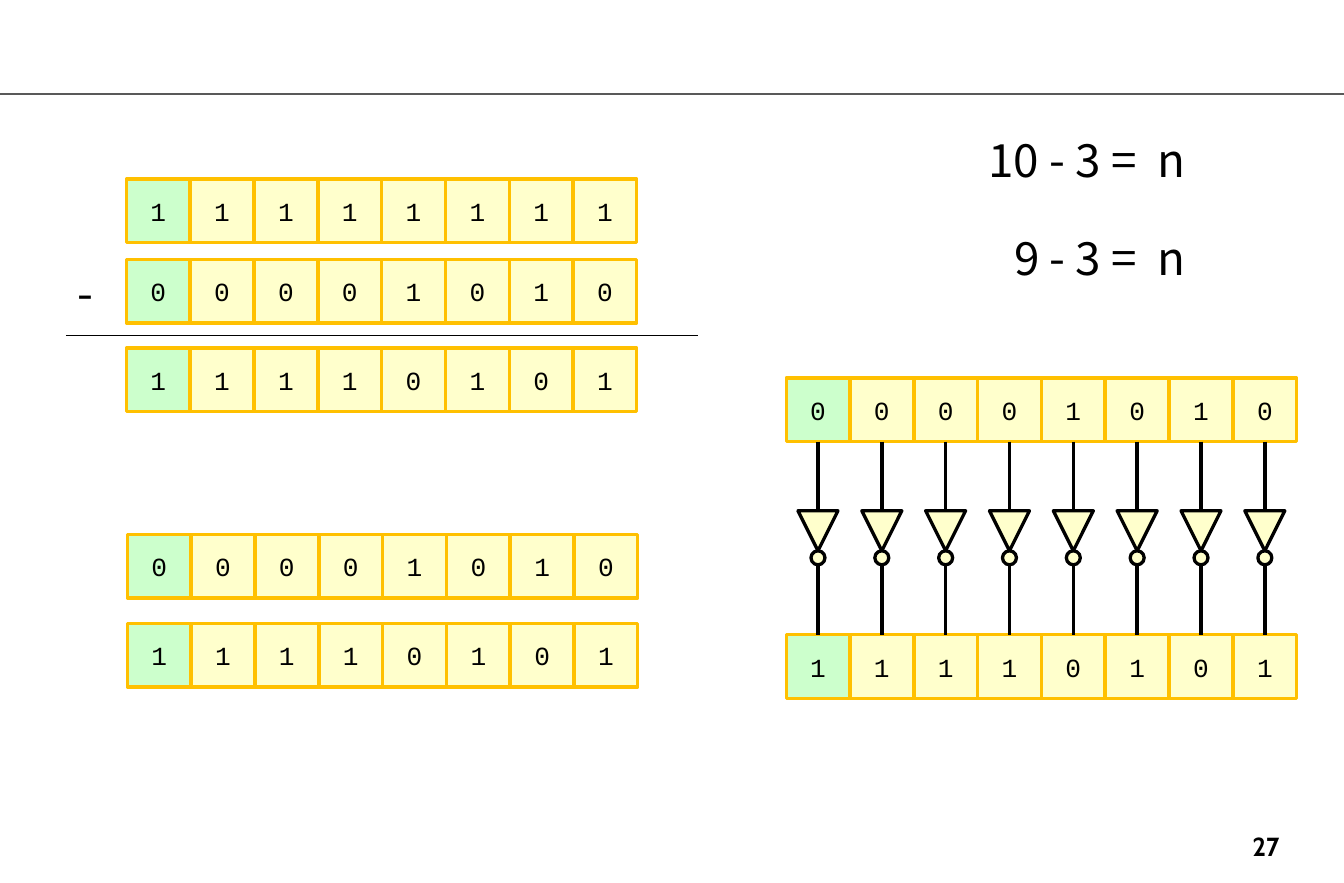
from lxml.etree import SubElement
from pptx import Presentation
from pptx.dml.color import RGBColor
from pptx.enum.shapes import MSO_CONNECTOR, MSO_SHAPE
from pptx.enum.text import MSO_ANCHOR, PP_ALIGN
from pptx.oxml.ns import qn
from pptx.util import Inches, Pt

WIDTH, HEIGHT = Inches(11.42), Inches(7.5)
CELL = Inches(0.54)
PITCH = WIDTH * 0.0475
BITS = 8

BLACK = RGBColor(0x00, 0x00, 0x00)
GRAY = RGBColor(0x59, 0x59, 0x59)
GREEN = RGBColor(0xCC, 0xFF, 0xCC)
YELLOW = RGBColor(0xFF, 0xFF, 0xCC)
ORANGE = RGBColor(0xFF, 0xC0, 0x00)

BODY_FONT = "Noto Sans CJK KR"
TEN = "00001010"
TEN_INVERTED = "11110101"


def across(percent):
    return round(WIDTH * percent / 100)


def down(percent):
    return round(HEIGHT * percent / 100)


def set_font(paragraph, name, size, bold=False):
    font = paragraph.font
    font.name, font.size, font.bold = name, Pt(size), bold
    font.color.rgb = BLACK


def add_line(slide, start, end, color, weight):
    line = slide.shapes.add_connector(MSO_CONNECTOR.STRAIGHT, *map(round, start + end))
    line.line.color.rgb = color
    line.line.width = Pt(weight)
    SubElement(line._element.spPr, qn("a:effectLst"))


def add_box(slide, kind, left, top, size, fill, outline):
    """Add a square-framed shape with a 2 pt outline."""
    shape = slide.shapes.add_shape(kind, *map(round, (left, top, size, size)))
    shape.shadow.inherit = False
    shape.fill.solid()
    shape.fill.fore_color.rgb = fill
    shape.line.color.rgb = outline
    shape.line.width = Pt(2)
    return shape


def add_text(slide, text, left, top, width, height):
    box = slide.shapes.add_textbox(across(left), down(top), across(width), down(height))
    box.text_frame.word_wrap = True
    paragraph = box.text_frame.paragraphs[0]
    paragraph.text = text
    return paragraph


def add_equation(slide, expression, left, top, width):
    """Write an expression with its unknown n at a shared tab position."""
    paragraph = add_text(slide, f"{expression}\tn", left, top, width, 7.6)
    tabs = SubElement(paragraph._p.get_or_add_pPr(), qn("a:tabLst"))
    position = across(86.16 - left) - Inches(0.1)
    SubElement(tabs, qn("a:tab"), pos=str(position), algn="l")
    set_font(paragraph, BODY_FONT, 28)


def add_register(slide, bits, left, top):
    """Add a row of bit cells whose first cell, the sign, is green."""
    for column, bit in enumerate(bits):
        cell = add_box(slide, MSO_SHAPE.RECTANGLE, across(left) + column * PITCH,
                       down(top), CELL, YELLOW if column else GREEN, ORANGE)
        frame = cell.text_frame
        frame.margin_left = frame.margin_right = 0
        frame.vertical_anchor = MSO_ANCHOR.MIDDLE
        paragraph = frame.paragraphs[0]
        paragraph.text = bit
        paragraph.alignment = PP_ALIGN.CENTER
        set_font(paragraph, "Courier New", 16)


def add_inverter(slide, center, wire_top, wire_bottom):
    triangle, bubble = CELL * 0.63, CELL * 0.22
    gate_top = wire_top + CELL * 1.09
    bubble_top = gate_top + triangle
    bubble_bottom = bubble_top + bubble
    add_box(slide, MSO_SHAPE.FLOWCHART_MERGE, center - triangle / 2, gate_top,
            triangle, YELLOW, BLACK)
    add_box(slide, MSO_SHAPE.OVAL, center - bubble / 2, bubble_top,
            bubble, YELLOW, BLACK)
    for start, end in ((wire_top, gate_top), (bubble_bottom, wire_bottom)):
        add_line(slide, (center, start), (center, end), BLACK, 2.25)


def main():
    presentation = Presentation()
    presentation.slide_width, presentation.slide_height = WIDTH, HEIGHT
    slide = presentation.slides.add_slide(presentation.slide_layouts[6])

    add_line(slide, (0, down(10.67)), (WIDTH, down(10.67)), GRAY, 1.5)
    page_number = add_text(slide, "27", 89.8, 93.33, 8.8, 4.5)
    page_number.alignment = PP_ALIGN.CENTER
    set_font(page_number, "Cabin", 16, bold=True)

    registers = (
        ("11111111", 9.41, 20.27),
        (TEN, 9.41, 29.4),
        (TEN_INVERTED, 9.41, 39.4),
        (TEN, 9.48, 60.53),
        (TEN_INVERTED, 9.48, 70.6),
        (TEN, 58.5, 42.8),
        (TEN_INVERTED, 58.5, 71.9),
    )
    for bits, left, top in registers:
        add_register(slide, bits, left, top)

    for column in range(BITS):
        center = across(58.5) + CELL / 2 + column * PITCH
        add_inverter(slide, center, down(42.8) + CELL, down(71.9))

    add_equation(slide, "10 - 3 =", 72.68, 14.27, 19.35)
    add_equation(slide, "9 - 3 =", 74.61, 25.33, 17.43)
    minus = add_text(slide, "-", 4.9, 29.33, 3.2, 7.6)
    set_font(minus, BODY_FONT, 28)
    add_line(slide, (across(4.9), down(38)), (across(51.93), down(38)), BLACK, 0.75)

    presentation.save("out.pptx")


if __name__ == "__main__":
    main()
